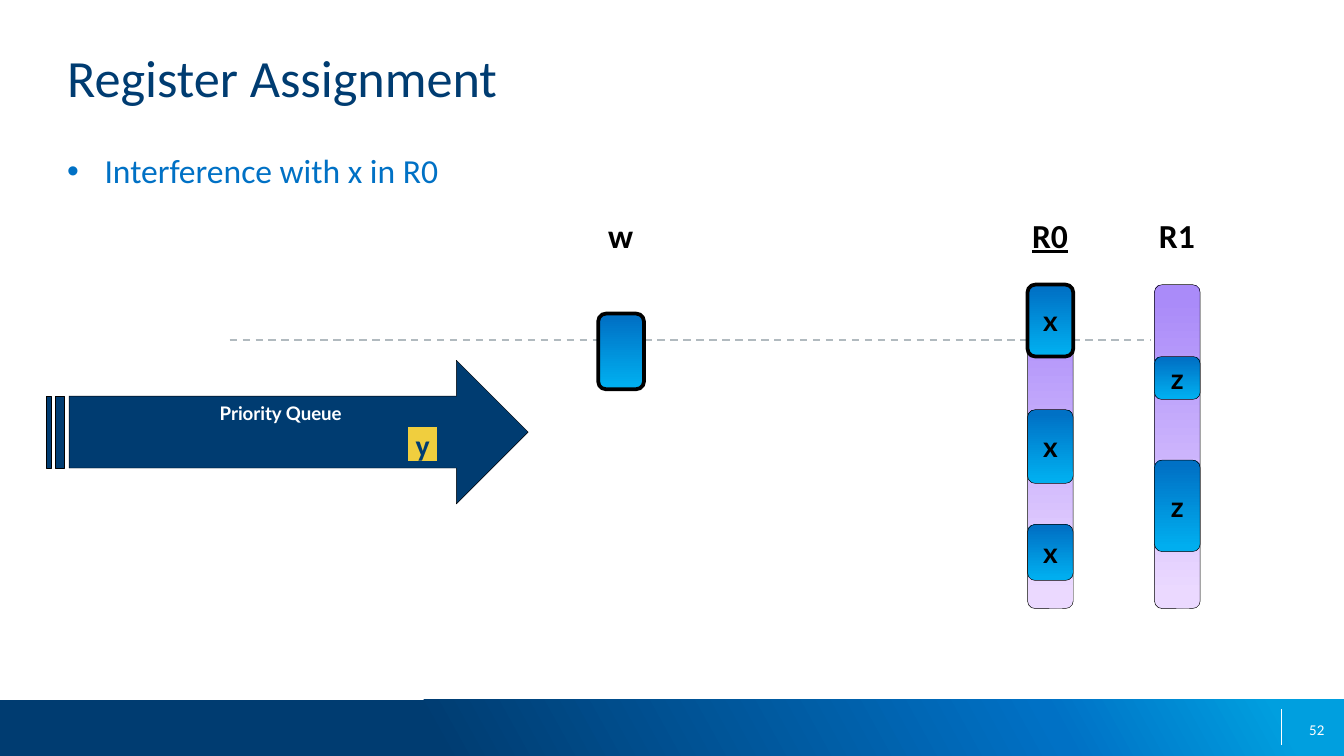
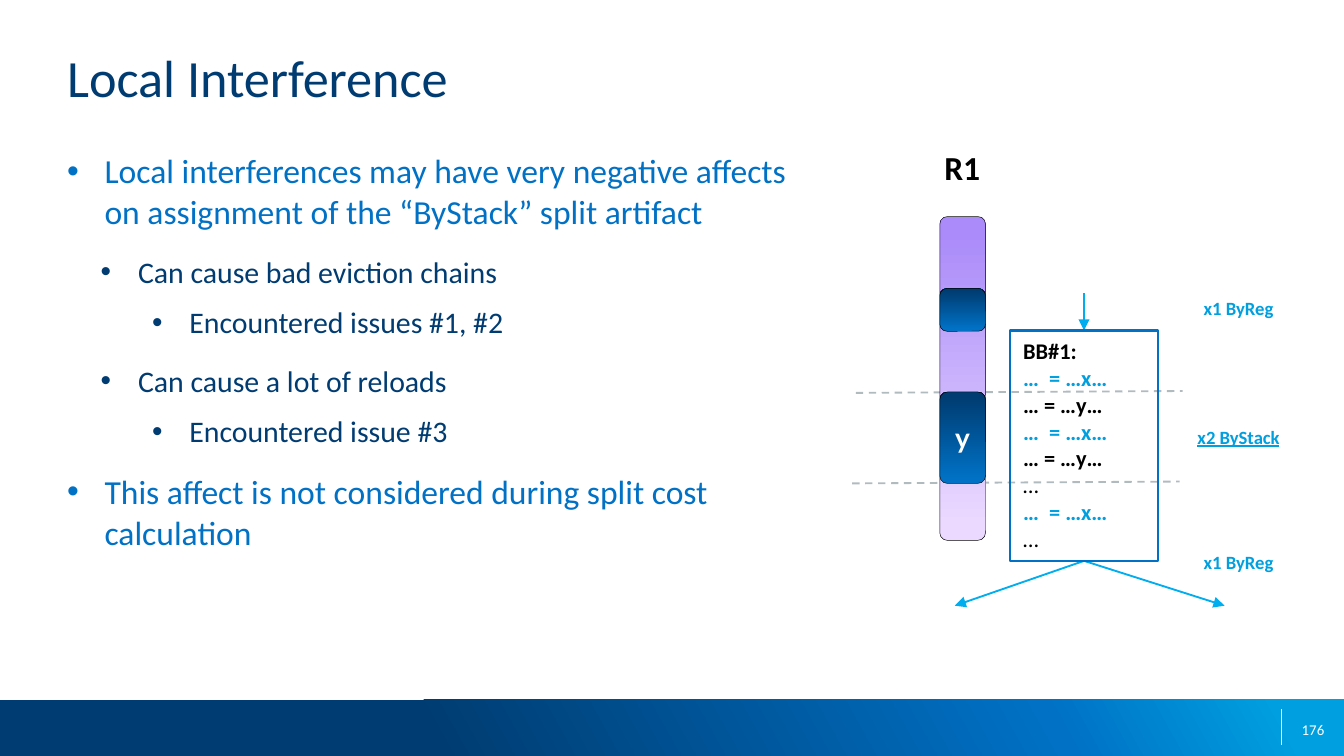
from copy import deepcopy

from lxml.etree import SubElement
from pptx import Presentation
from pptx.dml.color import RGBColor
from pptx.enum.dml import MSO_LINE
from pptx.enum.shapes import MSO_CONNECTOR, MSO_SHAPE
from pptx.enum.text import MSO_ANCHOR, PP_ALIGN
from pptx.oxml.ns import qn
from pptx.util import Pt

# Colours
NAVY = RGBColor(0x00, 0x3C, 0x71)
BLUE = RGBColor(0x00, 0x71, 0xC5)
SKY = RGBColor(0x00, 0x9F, 0xDF)
CYAN = RGBColor(0x00, 0xAE, 0xEF)
YELLOW = RGBColor(0xF0, 0xCE, 0x3E)
LILAC = RGBColor(0xEB, 0xD9, 0xFF)
VIOLET = RGBColor(0xAA, 0x8B, 0xF9)
GREY = RGBColor(0xB1, 0xBA, 0xBF)
BLACK = RGBColor(0x00, 0x00, 0x00)
WHITE = RGBColor(0xFF, 0xFF, 0xFF)

# Gradients: (position, colour) stops; vertical ones run from bottom to top
BAND = [(0.32, NAVY), (0.78, BLUE), (0.95, SKY)]
REGISTER = [(0.05, LILAC), (0.95, VIOLET)]
BRIGHT = [(0.05, CYAN), (0.95, BLUE)]
DARK = [(0.05, BLUE), (0.95, NAVY)]

# Content: bullets are (level, text)
ASSIGNMENT_BULLETS = [(0, "Interference with x in R0")]
INTERFERENCE_BULLETS = [
    (0, "Local interferences may have very negative affects\v"
        "on assignment of the “ByStack” split artifact"),
    (1, "Can cause bad eviction chains"),
    (2, "Encountered issues #1, #2"),
    (1, "Can cause a lot of reloads"),
    (2, "Encountered issue #3"),
    (0, "This affect is not considered during split cost \vcalculation"),
]
# Live ranges in a register: (offset from its top, height, name, outline)
R0_RANGES = [(0, 38.5, "x", 2), (67, 39.5, "x", 0.25), (128.5, 30, "x", 0.25)]
R1_RANGES = [(38.5, 23, "z", 0.25), (94, 49, "z", 0.25)]
LOCAL_RANGES = [(38.5, 23, "", 0.25), (94, 49, "y", 0.25)]
# Code of the basic block: (text, colour, bold)
BLOCK_CODE = [
    ("BB#1:", BLACK, True),
    ("…  = …x…", SKY, True),
    ("… = …y…", BLACK, True),
    ("…  = …x…", SKY, True),
    ("… = …y…", BLACK, True),
    ("…", BLACK, False),
    ("…  = …x…", SKY, True),
    ("…", BLACK, False),
]
# Split labels: (top, text, underlined)
SPLITS = [(159, "x1 ByReg", False), (228, "x2 ByStack", True),
          (295, "x1 ByReg", False)]

# Bullet levels: (size, colour, left margin, space before)
LEVELS = [(18, BLUE, 20, 12), (16, NAVY, 38, 12), (16, NAVY, 65.5, 8)]
HANG = 20
RANGE_W, REGISTER_H = 24.5, 173.5


def style_run(r, size, color, bold=False, underline=False, font="Calibri"):
    r.font.size, r.font.name = Pt(size), font
    r.font.bold, r.font.underline = bold, underline
    r.font.color.rgb = color


def setup_frame(sp, anchor=MSO_ANCHOR.TOP, wrap=True, inset=(0, 0)):
    tf = sp.text_frame
    tf.word_wrap, tf.vertical_anchor = wrap, anchor
    tf.margin_left = tf.margin_right = Pt(inset[0])
    tf.margin_top = tf.margin_bottom = Pt(inset[1])
    return tf


def write(tf, text, size, color, align=PP_ALIGN.CENTER, **look):
    tf.text = text
    p = tf.paragraphs[0]
    p.alignment = align
    for r in p.runs:
        style_run(r, size, color, **look)


def add_text(s, box, text, size, color, align=PP_ALIGN.CENTER,
             anchor=MSO_ANCHOR.TOP, **look):
    sp = s.shapes.add_textbox(*map(Pt, box))
    write(setup_frame(sp, anchor), text, size, color, align, **look)


def add_box(s, kind, box, fill=None, line=None, width=0.25, angle=90):
    """fill is a colour, a list of gradient stops or None."""
    sp = s.shapes.add_shape(kind, *map(Pt, box))
    sp.shadow.inherit = False
    if fill is None:
        sp.fill.background()
    elif isinstance(fill, list):
        sp.fill.gradient()
        sp.fill.gradient_angle = angle
        stops = sp._element.spPr.find(".//" + qn("a:gsLst"))
        while len(stops) < len(fill):
            stops.append(deepcopy(stops[-1]))
        for stop, (position, color) in zip(sp.fill.gradient_stops, fill):
            stop.position, stop.color.rgb = position, color
    else:
        sp.fill.solid()
        sp.fill.fore_color.rgb = fill
    if line is None:
        sp.line.fill.background()
    else:
        sp.line.color.rgb, sp.line.width = line, Pt(width)
    return sp


def add_line(s, start, end, color, width=1, dashed=False, arrow=False):
    c = s.shapes.add_connector(MSO_CONNECTOR.STRAIGHT, *map(Pt, start + end))
    c.line.color.rgb, c.line.width = color, Pt(width)
    if dashed:
        c.line.dash_style = MSO_LINE.DASH
    spPr = c._element.spPr
    if arrow:
        SubElement(spPr.find(qn("a:ln")), qn("a:tailEnd"), type="triangle")
    SubElement(spPr, qn("a:effectLst"))


def add_bullets(s, bullets):
    tf = setup_frame(s.shapes.add_textbox(Pt(36), Pt(80.5), Pt(648), Pt(270)))
    for i, (level, text) in enumerate(bullets):
        p = tf.add_paragraph() if i else tf.paragraphs[0]
        size, color, margin, before = LEVELS[level]
        p.text, p.level, p.space_before = text, level, Pt(before)
        for r in p.runs:
            style_run(r, size, color)
        pPr = p._p.get_or_add_pPr()
        pPr.set("marL", str(Pt(margin)))
        pPr.set("indent", str(-Pt(HANG)))
        SubElement(pPr, qn("a:buFont"), typeface="Arial")
        SubElement(pPr, qn("a:buChar"), char="•")


def new_slide(prs, title, number, bullets):
    s = prs.slides.add_slide(prs.slide_layouts[6])
    # Footer band, divider and slide number
    add_box(s, MSO_SHAPE.RECTANGLE, (0, 375, 720, 30), BAND, angle=29)
    add_line(s, (686.5, 380), (686.5, 399), WHITE, 0.75)
    add_text(s, (541.5, 380, 168, 21.5), number, 8, WHITE,
             PP_ALIGN.RIGHT, MSO_ANCHOR.MIDDLE)
    add_text(s, (36, 24.5, 648, 52.5), title, 28, NAVY, PP_ALIGN.LEFT)
    add_bullets(s, bullets)
    return s


def add_heading(s, left, top, name, underline=False):
    add_text(s, (left - 2, top - 37.5, 28, 21.5), name, 18, BLACK,
             bold=True, underline=underline)


def add_range(s, left, top, height, name, width, fill, color):
    sp = add_box(s, MSO_SHAPE.ROUNDED_RECTANGLE, (left, top, RANGE_W, height),
                 fill, BLACK, width)
    if name:
        write(setup_frame(sp, MSO_ANCHOR.MIDDLE, wrap=False), name, 15, color,
              bold=True, font="Lato")


def add_register(s, left, top, name, ranges, fill=BRIGHT, color=BLACK,
                 underline=False):
    add_box(s, MSO_SHAPE.ROUNDED_RECTANGLE, (left, top, RANGE_W, REGISTER_H),
            REGISTER, BLACK)
    add_heading(s, left, top, name, underline)
    for offset, height, label, width in ranges:
        add_range(s, left, top + offset, height, label, width, fill, color)


def build_assignment(prs):
    s = new_slide(prs, "Register Assignment", "52", ASSIGNMENT_BULLETS)
    # Priority queue with its waiting variable
    queue = add_box(s, MSO_SHAPE.STRIPED_RIGHT_ARROW, (25, 193, 258, 77),
                    NAVY, BLACK)
    write(setup_frame(queue, wrap=False, inset=(5, 3)), "Priority Queue", 10,
          WHITE, bold=True, font="Lato")
    waiting = add_box(s, MSO_SHAPE.RECTANGLE, (218.5, 228.5, 16, 19),
                      YELLOW, NAVY, 0.75)
    write(setup_frame(waiting), "y", 16, NAVY, bold=True)
    # Interference line, registers and the variable being assigned
    add_line(s, (123, 182), (616.5, 182), GREY, dashed=True)
    top = 152.5
    add_register(s, 550.5, top, "R0", R0_RANGES, underline=True)
    add_register(s, 618.5, top, "R1", R1_RANGES)
    add_heading(s, 320.5, top, "w")
    add_range(s, 320.5, 168, 40.5, "", 2, BRIGHT, BLACK)


def build_interference(prs):
    s = new_slide(prs, "Local Interference", "176", INTERFERENCE_BULLETS)
    # Control flow into and out of the block
    left, top, width, height = 541, 177, 79.5, 123.5
    mid, bottom = left + width / 2, top + height
    add_line(s, (mid, 157), (mid, top), CYAN, arrow=True)
    for x in (511.5, 656):
        add_line(s, (mid, bottom), (x, 324.5), CYAN, arrow=True)
    # Borders of the interference
    add_line(s, (458.5, 210.5), (633.5, 209.5), GREY, dashed=True)
    add_line(s, (456.5, 259), (632, 258), GREY, dashed=True)
    # Basic block
    block = add_box(s, MSO_SHAPE.RECTANGLE, (left, top, width, height),
                    None, BLUE, 1.25)
    tf = setup_frame(block, inset=(7.2, 3.6))
    for i, (text, color, bold) in enumerate(BLOCK_CODE):
        p = tf.add_paragraph() if i else tf.paragraphs[0]
        p.text, p.alignment = text, PP_ALIGN.LEFT
        style_run(p.runs[0], 12, color, bold)
    add_register(s, 503.5, 116, "R1", LOCAL_RANGES, DARK, WHITE)
    for y, text, underline in SPLITS:
        add_text(s, (636.5, y, 54, 12), text, 10, SKY, bold=True,
                 underline=underline)


def main():
    prs = Presentation()
    prs.slide_width, prs.slide_height = Pt(720), Pt(405)
    build_assignment(prs)
    build_interference(prs)
    prs.save("out.pptx")


if __name__ == "__main__":
    main()
